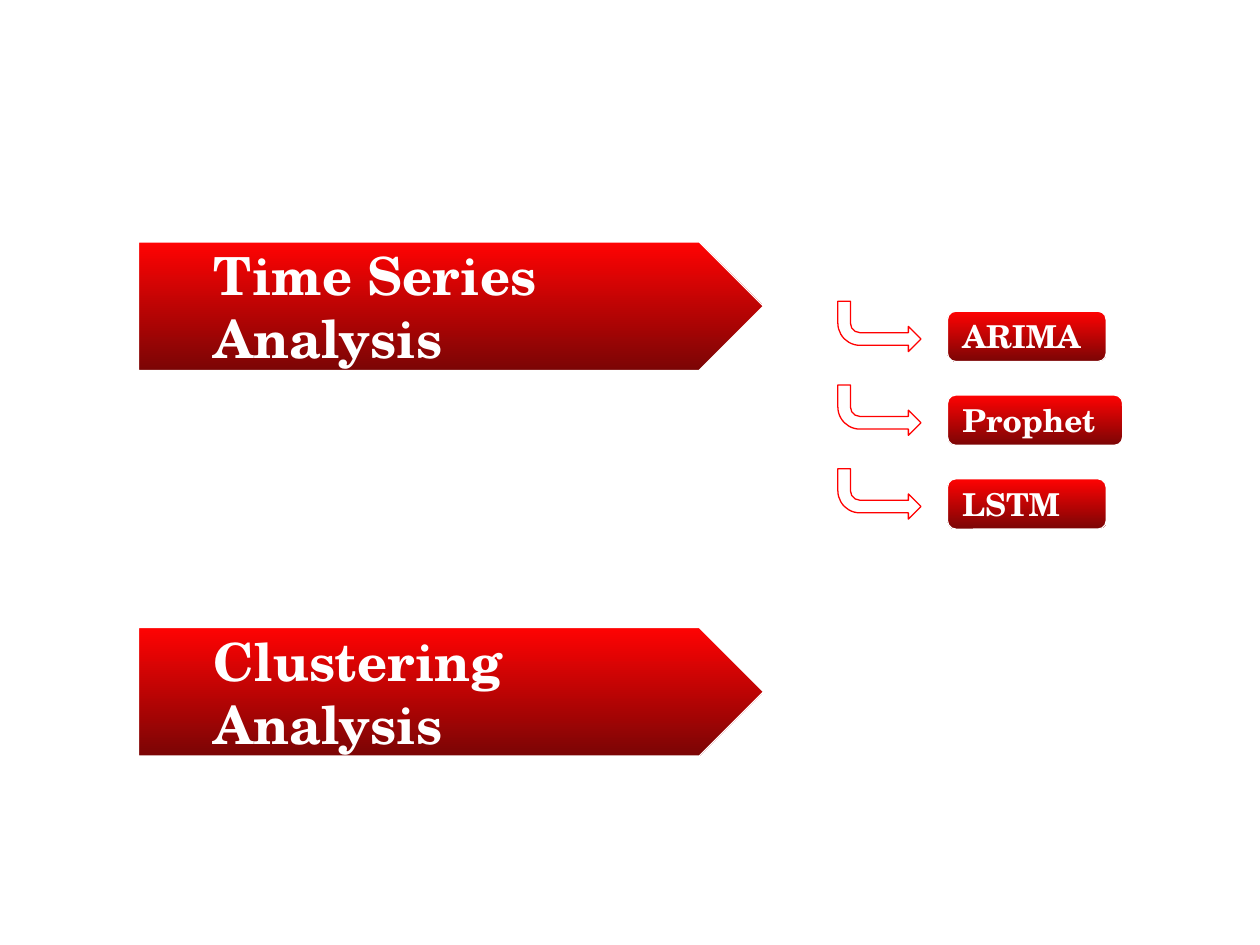
import dataclasses

import pptx
import pptx.dml.color
import pptx.enum.shapes
import pptx.enum.text
import pptx.util

Inches = pptx.util.Inches
Shape = pptx.enum.shapes.MSO_SHAPE


def rgb(code):
    return pptx.dml.color.RGBColor.from_string(code)


@dataclasses.dataclass(frozen=True)
class Theme:
    font: str = "TeX Gyre Schola"
    white: str = "FFFFFF"
    red: str = "FF0000"
    bright_red: str = "FF0303"
    dark_red: str = "7B0505"
    banner_size: int = 30
    label_size: int = 18
    line_width: float = 0.75


def write_text(box, text, *, font, size, color, indent=0):
    frame = box.text_frame
    frame.word_wrap = True
    frame.vertical_anchor = pptx.enum.text.MSO_ANCHOR.MIDDLE
    frame.margin_left = frame.margin_right = Inches(0.1)
    frame.margin_top = frame.margin_bottom = Inches(0.1)
    para = frame.paragraphs[0]
    para.alignment = pptx.enum.text.PP_ALIGN.LEFT
    if indent:
        properties = para._p.get_or_add_pPr()
        properties.set("marL", str(Inches(indent)))
        properties.set("indent", "0")
    span = para.add_run()
    span.text = text
    span.font.name = font
    span.font.size = pptx.util.Pt(size)
    span.font.bold = True
    span.font.color.rgb = rgb(color)


class SlideBuilder:
    """Draws the banners, labels and arrows of a page in one theme."""

    def __init__(self, page, theme):
        self.page = page
        self.theme = theme

    def outlined(self, kind, left, top, width, height, line):
        shape = self.page.shapes.add_shape(
            kind, Inches(left), Inches(top), Inches(width), Inches(height))
        shape.shadow.inherit = False
        shape.line.color.rgb = rgb(line)
        shape.line.width = pptx.util.Pt(self.theme.line_width)
        return shape

    def red_box(self, kind, left, top, width, height, text, size, indent=0):
        theme = self.theme
        box = self.outlined(kind, left, top, width, height, theme.white)
        box.fill.gradient()
        box.fill.gradient_angle = 270
        colors = (theme.bright_red, theme.dark_red)
        for position, (stop, color) in enumerate(zip(box.fill.gradient_stops, colors)):
            stop.position = position
            stop.color.rgb = rgb(color)
        write_text(box, text, font=theme.font, size=size, color=theme.white, indent=indent)

    def banner(self, top, text):
        self.red_box(Shape.PENTAGON, 1.1, top, 4.96, 1.02, text,
                     self.theme.banner_size, indent=0.5)

    def label(self, top, width, text):
        self.red_box(Shape.ROUNDED_RECTANGLE, 7.52, top, width, 0.4, text,
                     self.theme.label_size)

    def bent_arrow(self, top):
        arrow = self.outlined(Shape.BENT_ARROW, 6.65, top, 0.66, 0.4, self.theme.red)
        arrow.fill.solid()
        arrow.fill.fore_color.rgb = rgb(self.theme.white)
        arrow.rotation = 180
        arrow._element.spPr.xfrm.set("flipH", "1")


def main():
    deck = pptx.Presentation()
    deck.slide_width, deck.slide_height = Inches(10), Inches(7.5)
    page = deck.slides.add_slide(deck.slide_layouts[6])
    builder = SlideBuilder(page, Theme())

    builder.banner(1.92, "Time Series Analysis")
    models = (("ARIMA", 1.26), ("Prophet", 1.39), ("LSTM", 1.26))
    first_top, last_top = 2.47, 3.8
    pitch = (last_top - first_top) / (len(models) - 1)
    for row, (name, width) in enumerate(models):
        top = first_top + row * pitch
        builder.bent_arrow(top - 0.08)
        builder.label(top, width, name)
    builder.banner(4.98, "Clustering Analysis")

    deck.save("out.pptx")


if __name__ == "__main__":
    main()
